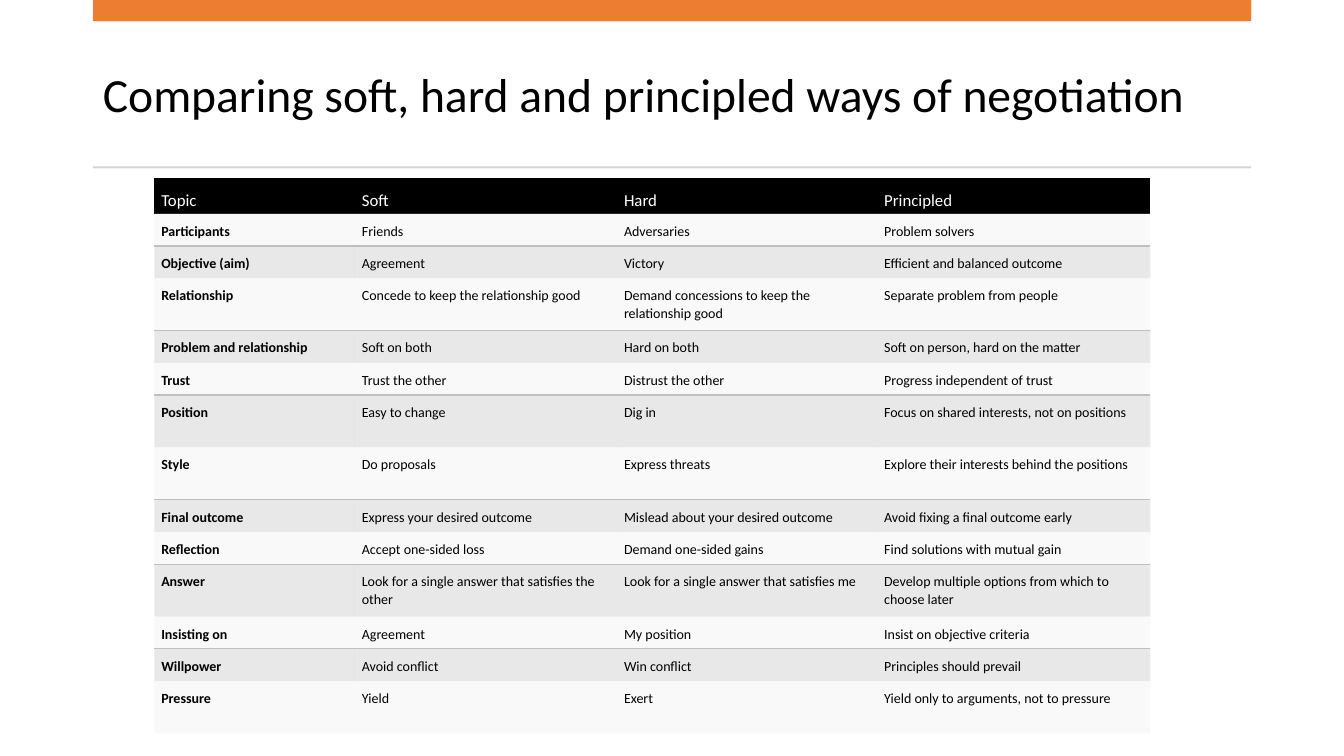
from dataclasses import dataclass

from lxml import etree
from pptx import Presentation
from pptx import util as u
from pptx.dml import color
from pptx.enum import shapes, text
from pptx.oxml import ns


@dataclass(frozen=True)
class Theme:
    font: str = "Calibri"
    title_size: int = 34
    header_size: int = 12
    body_size: int = 10
    ink: str = "000000"
    header_ink: str = "FFFFFF"
    accent: str = "ED7D31"
    divider: str = "D5D5D5"
    rule: str = "BFBFBF"
    light: str = "F2F2F2"
    light_alpha: int = 45
    dark: str = "BFBFBF"
    dark_alpha: int = 35


def rgb(value):
    return color.RGBColor.from_string(value)


def write(frame, wording, *, font, size, ink, bold=False, spacing=1.0, after=0):
    paragraph = frame.paragraphs[0]
    paragraph.alignment = text.PP_ALIGN.LEFT
    paragraph.line_spacing = spacing
    paragraph.space_after = u.Pt(after)
    run = paragraph.add_run()
    run.text = wording
    run.font.name = font
    run.font.size = u.Pt(size)
    run.font.bold = bold
    run.font.color.rgb = rgb(ink)


class SlideBuilder:
    def __init__(self, slide, theme):
        self.slide = slide
        self.theme = theme

    def title(self, wording, left, top, width, height):
        heading = self.slide.shapes.title
        heading.left, heading.top = u.Inches(left), u.Inches(top)
        heading.width, heading.height = u.Inches(width), u.Inches(height)
        frame = heading.text_frame
        frame.word_wrap = True
        frame.auto_size = text.MSO_AUTO_SIZE.NONE
        frame.vertical_anchor = text.MSO_ANCHOR.MIDDLE
        write(frame, wording, font=self.theme.font, size=self.theme.title_size,
              ink=self.theme.ink, spacing=0.9)

    def bar(self, fill, left, top, width, height):
        bar = self.slide.shapes.add_shape(
            shapes.MSO_SHAPE.RECTANGLE, u.Inches(left), u.Inches(top),
            u.Inches(width), u.Inches(height))
        bar.shadow.inherit = False
        bar.fill.solid()
        bar.fill.fore_color.rgb = rgb(fill)
        bar.line.fill.background()

    def table(self, rows, left, top, widths, heights):
        table = self.slide.shapes.add_table(
            len(rows), len(widths), u.Inches(left), u.Inches(top),
            u.Inches(sum(widths)), u.Inches(sum(heights))).table
        table.horz_banding = False
        for column, width in zip(table.columns, widths):
            column.width = u.Inches(width)
        for row, height in zip(table.rows, heights):
            row.height = u.Inches(height)
        for r, row in enumerate(rows):
            for c, wording in enumerate(row):
                self.cell(table.cell(r, c), wording, r, c, len(rows) - 1)

    def cell(self, cell, wording, row, column, last_row):
        theme = self.theme
        header, dark = row == 0, row % 2 == 0
        cell.margin_left = cell.margin_right = u.Inches(0.07)
        cell.margin_top, cell.margin_bottom = u.Inches(0.08), 0
        cell.vertical_anchor = text.MSO_ANCHOR.MIDDLE if header else text.MSO_ANCHOR.TOP
        write(cell.text_frame, wording, font=theme.font,
              size=theme.header_size if header else theme.body_size,
              ink=theme.header_ink if header else theme.ink,
              bold=column == 0 and not header, spacing=1.07, after=8)
        ruled = set()
        if dark and not header:
            ruled.add("T")
        if not dark and row < last_row:
            ruled.add("B")
        self.borders(cell, ruled)
        if header:
            self.cell_fill(cell, theme.ink, 100)
        elif dark:
            self.cell_fill(cell, theme.dark, theme.dark_alpha)
        else:
            self.cell_fill(cell, theme.light, theme.light_alpha)

    def borders(self, cell, ruled):
        properties = cell._tc.get_or_add_tcPr()
        for side in "LRTB":
            line = etree.SubElement(properties, ns.qn(f"a:ln{side}"))
            if side in ruled:
                line.set("w", str(u.Pt(1)))
                fill = etree.SubElement(line, ns.qn("a:solidFill"))
                etree.SubElement(fill, ns.qn("a:srgbClr"), val=self.theme.rule)
            else:
                etree.SubElement(line, ns.qn("a:noFill"))

    def cell_fill(self, cell, fill, alpha):
        cell.fill.solid()
        cell.fill.fore_color.rgb = rgb(fill)
        if alpha < 100:
            tint = cell._tc.tcPr.find(ns.qn("a:solidFill")).find(ns.qn("a:srgbClr"))
            etree.SubElement(tint, ns.qn("a:alpha"), val=str(alpha * 1000))


COMPARISON = [
    ("Topic", "Soft", "Hard", "Principled"),
    ("Participants", "Friends", "Adversaries", "Problem solvers"),
    ("Objective (aim)", "Agreement", "Victory", "Efficient and balanced outcome"),
    ("Relationship", "Concede to keep the relationship good",
     "Demand concessions to keep the relationship good", "Separate problem from people"),
    ("Problem and relationship", "Soft on both", "Hard on both",
     "Soft on person, hard on the matter"),
    ("Trust", "Trust the other", "Distrust the other", "Progress independent of trust"),
    ("Position", "Easy to change", "Dig in", "Focus on shared interests, not on positions"),
    ("Style", "Do proposals", "Express threats",
     "Explore their interests behind the positions"),
    ("Final outcome", "Express your desired outcome",
     "Mislead about your desired outcome", "Avoid fixing a final outcome early"),
    ("Reflection", "Accept one-sided loss", "Demand one-sided gains",
     "Find solutions with mutual gain"),
    ("Answer", "Look for a single answer that satisfies the other",
     "Look for a single answer that satisfies me",
     "Develop multiple options from which to choose later"),
    ("Insisting on", "Agreement", "My position", "Insist on objective criteria"),
    ("Willpower", "Avoid conflict", "Win conflict", "Principles should prevail"),
    ("Pressure", "Yield", "Exert", "Yield only to arguments, not to pressure"),
]
TALL_TOPICS = {"Relationship", "Position", "Style", "Answer", "Pressure"}
MARGIN, CONTENT_WIDTH = 0.92, 11.49

deck = Presentation()
deck.slide_width, deck.slide_height = u.Inches(13.33), u.Inches(7.5)
theme = Theme()
builder = SlideBuilder(
    deck.slides.add_slide(deck.slide_layouts.get_by_name("Title Only")), theme)

builder.title("Comparing soft, hard and principled ways of negotiation",
              MARGIN, 0.37, CONTENT_WIDTH, 1.18)
builder.bar(theme.accent, MARGIN, 0, CONTENT_WIDTH, 0.21)
builder.bar(theme.divider, MARGIN, 1.65, CONTENT_WIDTH, 0.02)
row_heights = [0.35] + [0.52 if topic in TALL_TOPICS else 0.32
                        for topic, *_ in COMPARISON[1:]]
builder.table(COMPARISON, 1.53, 1.77, [1.99, 2.6, 2.58, 2.71], row_heights)

deck.save("out.pptx")
